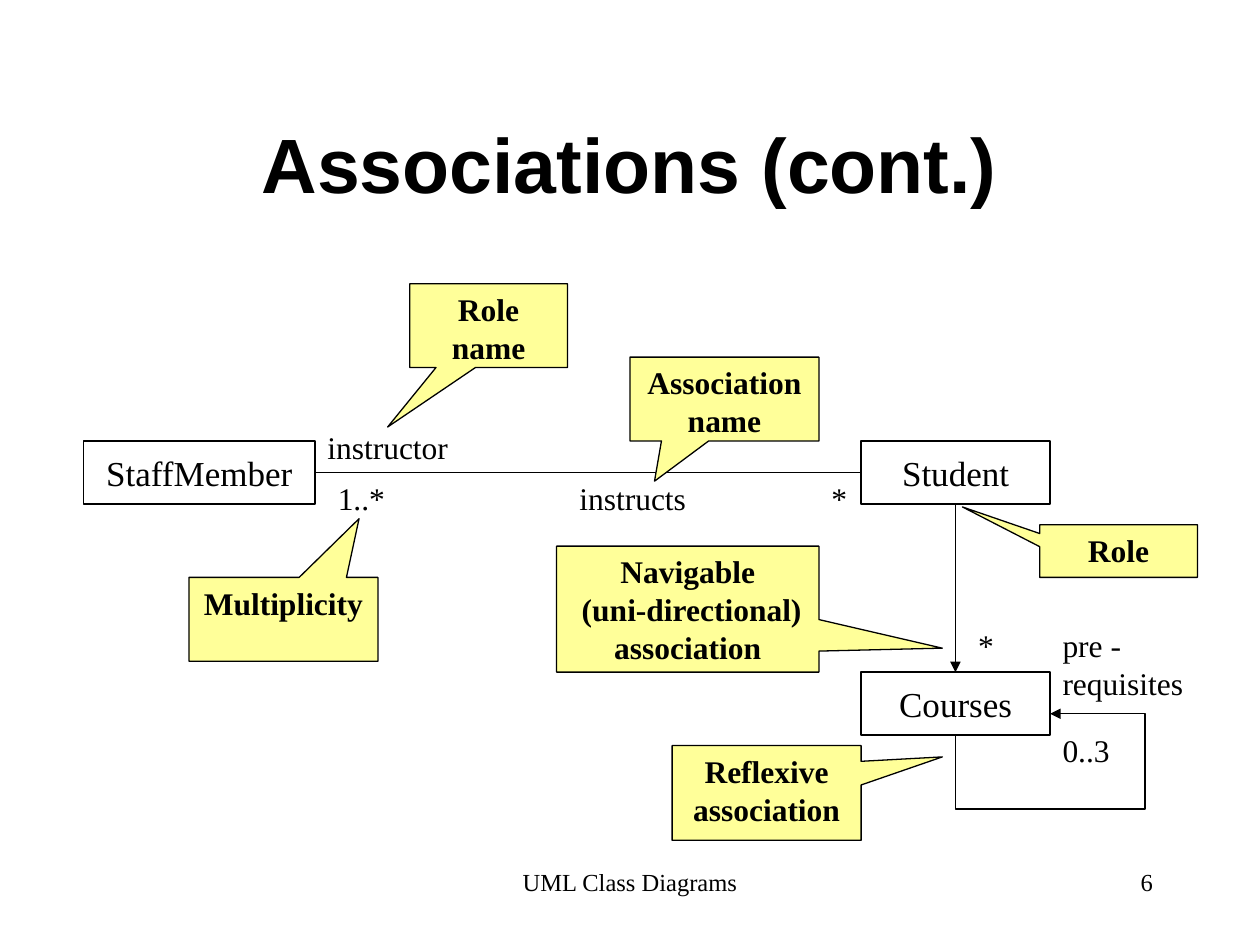
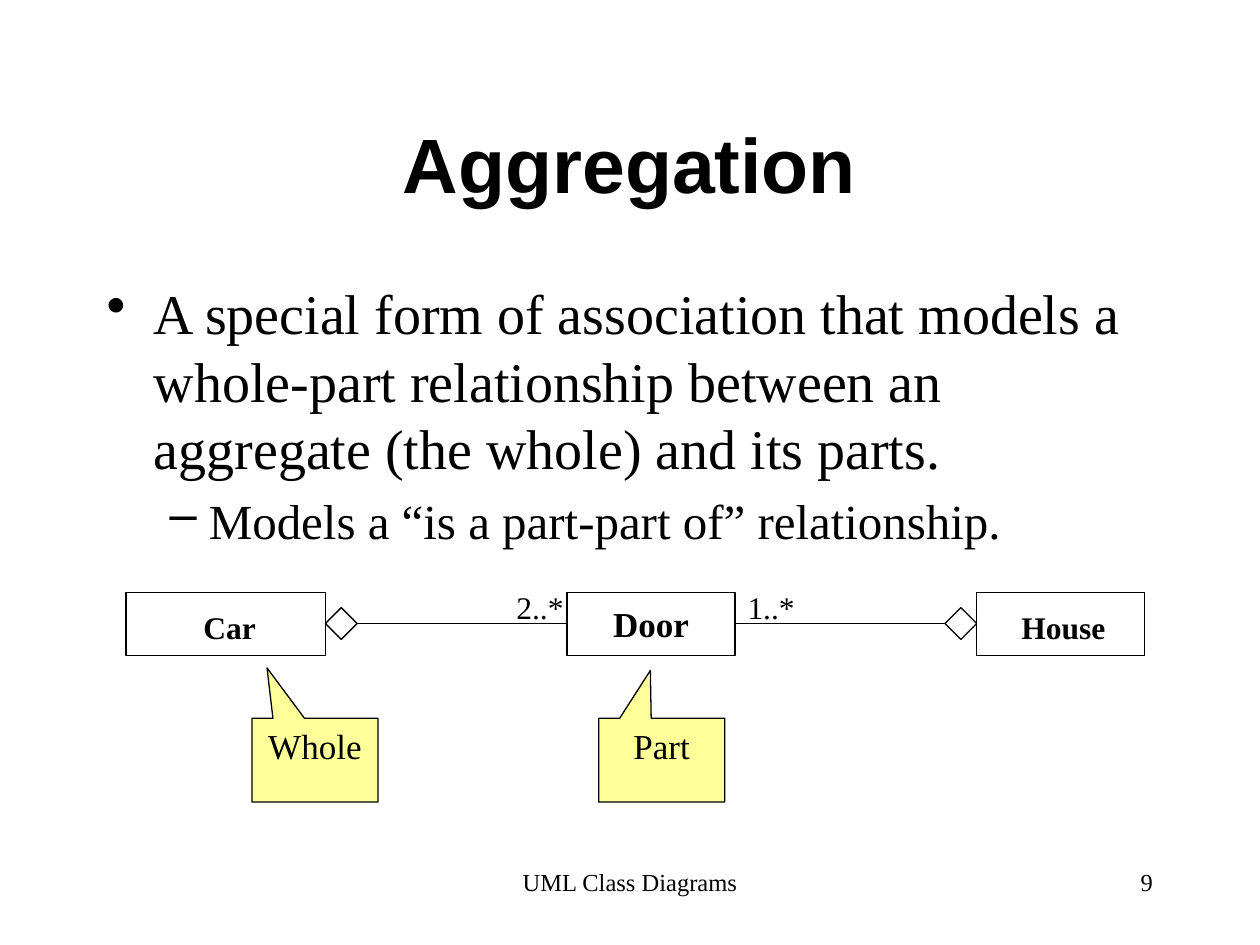
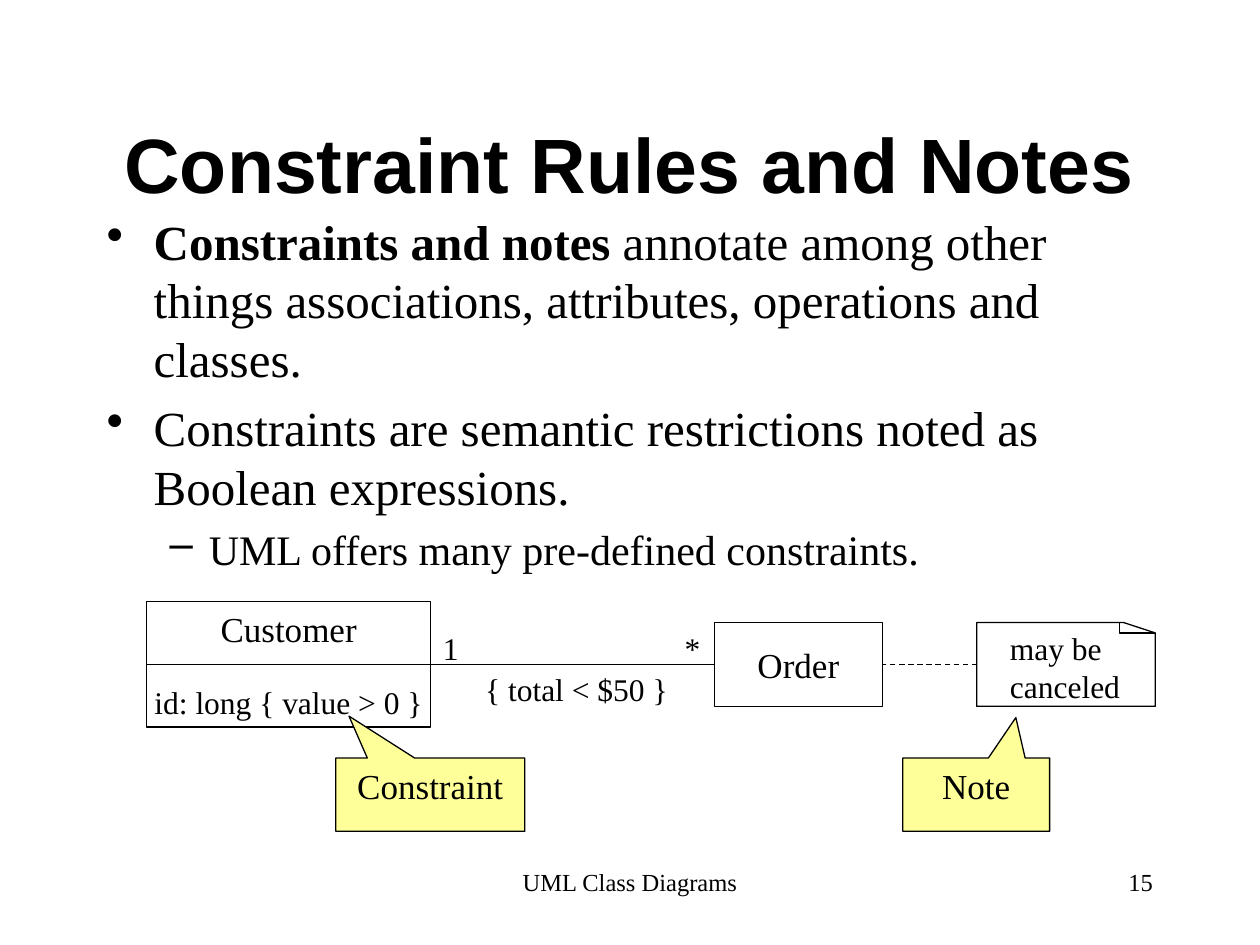
from dataclasses import dataclass

from lxml import etree
from pptx import Presentation
from pptx import util as u
from pptx.dml import color
from pptx.enum import dml, shapes, text
from pptx.oxml import ns

LEFT, CENTER, RIGHT = text.PP_ALIGN.LEFT, text.PP_ALIGN.CENTER, text.PP_ALIGN.RIGHT
TOP, MIDDLE, BOTTOM = text.MSO_ANCHOR.TOP, text.MSO_ANCHOR.MIDDLE, text.MSO_ANCHOR.BOTTOM
RECT, DIAMOND = shapes.MSO_SHAPE.RECTANGLE, shapes.MSO_SHAPE.DIAMOND


@dataclass(frozen=True)
class Theme:
    ink: color.RGBColor = color.RGBColor(0, 0, 0)
    callout: color.RGBColor = color.RGBColor(0xFF, 0xFF, 0x99)
    title_font: str = "Arial"
    font: str = "Times New Roman"
    title: int = 44
    name: int = 20
    label: int = 18
    footer: int = 14
    stroke: float = 0.75
    # Per outline level: bullet, left margin and hanging indent in cm
    levels: tuple = (("•", 0.95, -0.95), ("–", 2.06, -0.79))


class Deck:
    """Holds the theme and the slide being drawn; lengths are in cm."""

    def __init__(self, theme):
        self.theme = theme
        self.prs = Presentation()
        self.prs.slide_width, self.prs.slide_height = u.Cm(25.4), u.Cm(19.05)

    # Slide frame: title, footer and page number
    def slide(self, title, number):
        t = self.theme
        self.shapes = self.prs.slides.add_slide(self.prs.slide_layouts[6]).shapes
        self.text(title, 1.9, 1.69, 21.59, 3.18, t.title, CENTER, MIDDLE, True, t.title_font)
        self.text("UML Class Diagrams", 8.68, 17.36, 8.04, 1.27, t.footer, CENTER)
        self.text(str(number), 18.2, 17.36, 5.29, 1.27, t.footer, RIGHT)

    # Formatting helpers
    def format_runs(self, p, size, bold=False, font=None):
        for r in p.runs:
            r.font.size, r.font.bold = u.Pt(size), bold
            r.font.name = font or self.theme.font
            r.font.color.rgb = self.theme.ink

    def fill_text(self, sp, words, size, align, anchor, bold=False, font=None, wrap=True):
        tf = sp.text_frame
        tf.text = words
        tf.word_wrap, tf.vertical_anchor = wrap, anchor
        for p in tf.paragraphs:
            p.alignment = align
            self.format_runs(p, size, bold, font)

    def outline(self, sp, fill=None):
        sp.shadow.inherit = False
        sp.line.color.rgb, sp.line.width = self.theme.ink, u.Pt(self.theme.stroke)
        if fill is None:
            sp.fill.background()
        else:
            sp.fill.solid()
            sp.fill.fore_color.rgb = fill

    # Text elements
    def text(self, words, x, y, w, h, size, align=LEFT, anchor=TOP, bold=False, font=None):
        sp = self.shapes.add_textbox(*map(u.Cm, (x, y, w, h)))
        self.fill_text(sp, words, size, align, anchor, bold, font)
        return sp

    def label(self, words, x, y, w, h=1.02):
        sp = self.text(words, x, y, w, h, self.theme.label)
        sp.text_frame.word_wrap = False
        sp.text_frame.auto_size = text.MSO_AUTO_SIZE.SHAPE_TO_FIT_TEXT

    def bullets(self, y, h, items):
        """Items are (level, size, words); words between asterisks are bold."""
        tf = self.shapes.add_textbox(*map(u.Cm, (1.9, y, 21.59, h))).text_frame
        tf.word_wrap = True
        for i, (level, size, words) in enumerate(items):
            p = tf.add_paragraph() if i else tf.paragraphs[0]
            p.level = level
            if i:
                p.space_before = u.Pt(size * 0.2)
            for k, part in enumerate(words.split("*")):
                if part:
                    p.add_run().text = part
                    p.runs[-1].font.bold = k % 2 == 1
            for r in p.runs:
                bold = r.font.bold
                self.format_runs(p, size)
                r.font.bold = bold
            for k, r in enumerate(p.runs):
                r.font.bold = f"*{r.text}*" in words
            char, margin, indent = self.theme.levels[level]
            ppr = p._p.get_or_add_pPr()
            ppr.set("marL", str(u.Cm(margin)))
            ppr.set("indent", str(u.Cm(indent)))
            etree.SubElement(ppr, ns.qn("a:buChar"), char=char)

    # Diagram elements
    def box(self, x, y, w, h=1.27, words="", size=None, anchor=MIDDLE, bold=False, kind=RECT):
        sp = self.shapes.add_shape(kind, *map(u.Cm, (x, y, w, h)))
        self.outline(sp)
        if words:
            self.fill_text(sp, words, size or self.theme.name, CENTER, anchor, bold, wrap=False)

    def callout(self, words, x, y, w, h, tip, size=None, bold=False):
        sp = self.shapes.add_shape(shapes.MSO_SHAPE.RECTANGULAR_CALLOUT, *map(u.Cm, (x, y, w, h)))
        sp.adjustments[0], sp.adjustments[1] = tip
        self.outline(sp, self.theme.callout)
        self.fill_text(sp, words, size or self.theme.name, CENTER, TOP, bold)

    def line(self, x1, y1, x2, y2, arrow=False, dashed=False, bends=()):
        """Draw a line, or an elbow when bends (its adjustments) are given."""
        kind = shapes.MSO_CONNECTOR.ELBOW if bends else shapes.MSO_CONNECTOR.STRAIGHT
        c = self.shapes.add_connector(kind, *map(u.Cm, (x1, y1, x2, y2)))
        c.line.color.rgb, c.line.width = self.theme.ink, u.Pt(self.theme.stroke)
        if dashed:
            c.line.dash_style = dml.MSO_LINE.DASH
        sp_pr = c._element.spPr
        if arrow:
            etree.SubElement(sp_pr.get_or_add_ln(), ns.qn("a:tailEnd"), type="triangle")
        etree.SubElement(sp_pr, ns.qn("a:effectLst"))
        if bends:
            geom = sp_pr.find(ns.qn("a:prstGeom"))
            geom.set("prst", f"bentConnector{len(bends) + 2}")
            guides = geom.find(ns.qn("a:avLst"))
            for i, bend in enumerate(bends, 1):
                etree.SubElement(guides, ns.qn("a:gd"), name=f"adj{i}",
                                 fmla=f"val {round(bend * 100000)}")
        return c

    def loop(self, x1, y1, x2, y2, bends):
        """Arrow from a box's bottom to its right side: an elbow turned by 90 degrees."""
        cx, cy = (x1 + x2) / 2, (y1 + y2) / 2
        dx, dy = abs(y2 - y1) / 2, abs(x2 - x1) / 2
        c = self.line(cx + dx, cy + dy, cx - dx, cy - dy, arrow=True, bends=bends)
        c._element.spPr.find(ns.qn("a:xfrm")).set("rot", "5400000")

    def note(self, words, x, y, w, h, fold_w, fold_h):
        right, fold = x + w, x + w - fold_w
        corners = [(x, y + h), (right, y + h), (right, y + fold_h), (fold, y)]
        builder = self.shapes.build_freeform(u.Cm(x), u.Cm(y))
        builder.add_line_segments([(u.Cm(a), u.Cm(b)) for a, b in corners], close=True)
        self.outline(builder.convert_to_shape())
        self.line(fold, y, right, y + fold_h, bends=(-0.125,))
        self.text(words, x + 0.42, y, 3.23, 1.85, self.theme.label)


theme = Theme()
deck = Deck(theme)

# Slide 1: associations between three classes
deck.slide("Associations (cont.)", 6)
deck.box(1.69, 8.89, 4.66, words="StaffMember")
deck.box(17.36, 8.89, 3.81, words="Student")
deck.line(6.35, 9.53, 17.36, 9.53)
for words, x, y, w in (("1..*", 6.56, 9.53, 1.48), ("*", 16.51, 9.53, 0.84),
                       ("instructs", 11.43, 9.53, 2.67), ("instructor", 6.35, 8.51, 2.95),
                       ("0..3", 21.17, 14.61, 1.48), ("*", 19.47, 12.49, 0.84)):
    deck.label(words, x, y, w)
deck.label("pre - \vrequisites", 21.17, 12.49, 2.95, 1.78)
deck.box(17.36, 13.55, 3.81, words="Courses")
deck.line(19.26, 10.16, 19.26, 13.55, arrow=True)
deck.loop(19.26, 14.82, 21.17, 14.39, bends=(-3.47, 2))
for words, x, y, w, h, tip in (
        ("Association name", 12.7, 7.2, 3.81, 1.69, (-0.37, 0.98)),
        ("Role name", 8.26, 5.72, 3.18, 1.69, (-0.64, 1.21)),
        ("Multiplicity", 3.81, 11.64, 3.81, 1.69, (0.4, -1.2)),
        ("Navigable\v (uni-directional) association", 11.22, 11.01, 5.29, 2.54, (0.97, 0.31)),
        ("Reflexive association", 13.55, 15.03, 3.81, 1.91, (0.93, -0.38)),
        ("Role", 20.96, 10.58, 3.18, 1.06, (-0.99, -0.84))):
    deck.callout(words, x, y, w, h, tip, theme.label, bold=True)

# Slide 2: wholes and their shared part
deck.slide("Aggregation", 9)
deck.bullets(5.5, 5.93, [
    (0, 32, "A special form of association that models a whole-part relationship "
            "between an aggregate (the whole) and its parts."),
    (1, 28, "Models a “is a part-part of” relationship.")])
deck.callout("Whole", 5.08, 14.48, 2.54, 1.69, (-0.38, -1.1))
deck.callout("Part", 12.07, 14.48, 2.54, 1.69, (-0.09, -1.07))
deck.box(11.43, 11.94, 3.39, words="Door", bold=True)
for words, x, w, text_x, text_w, diamond_x, line_from, line_to in (
        ("Car", 2.54, 4.02, 2.79, 3.68, 6.56, 7.2, 11.43),
        ("House", 19.69, 3.39, 19.89, 3.1, 19.05, 14.82, 19.05)):
    deck.box(x, 11.94, w)
    deck.text(words, text_x, 12.14, text_w, 1.02, theme.label, CENTER, bold=True)
    deck.line(line_from, 12.57, line_to, 12.57)
    deck.box(diamond_x, 12.25, 0.64, 0.64, kind=DIAMOND)
deck.label("1..*", 14.82, 11.73, 1.48)
deck.label("2..*", 10.16, 11.73, 1.48)

# Slide 3: a constrained association and a note
deck.slide("Constraint Rules and Notes", 15)
deck.bullets(4.13, 7.83, [
    (0, 28, "*Constraints* and *notes* annotate among other things associations, "
            "attributes, operations and classes."),
    (0, 28, "Constraints are semantic restrictions noted as Boolean expressions."),
    (1, 24, "UML offers many pre-defined constraints.")])
deck.box(2.96, 12.12, 5.72, 2.54, "id: long { value > 0 }", theme.label, BOTTOM)
deck.line(2.96, 13.39, 8.68, 13.39)
deck.text("Customer", 2.96, 12.12, 5.72, 1.09, theme.name, CENTER, BOTTOM)
deck.line(8.68, 13.39, 14.4, 13.39)
deck.box(14.4, 12.55, 3.39, 1.69, "Order")
deck.label("*", 13.55, 12.55, 0.84)
deck.label("1", 8.68, 12.55, 0.84)
deck.label("{ total < $50 }", 9.53, 13.39, 4.19)
deck.note("may be canceled", 19.69, 12.55, 3.6, 1.69, fold_w=0.64, fold_h=0.21)
deck.line(19.69, 13.39, 17.78, 13.39, dashed=True)
deck.callout("Constraint", 6.77, 15.28, 3.81, 1.48, (-0.43, -1.07))
deck.callout("Note", 18.2, 15.28, 2.96, 1.48, (0.27, -1.05))

deck.prs.save("out.pptx")
